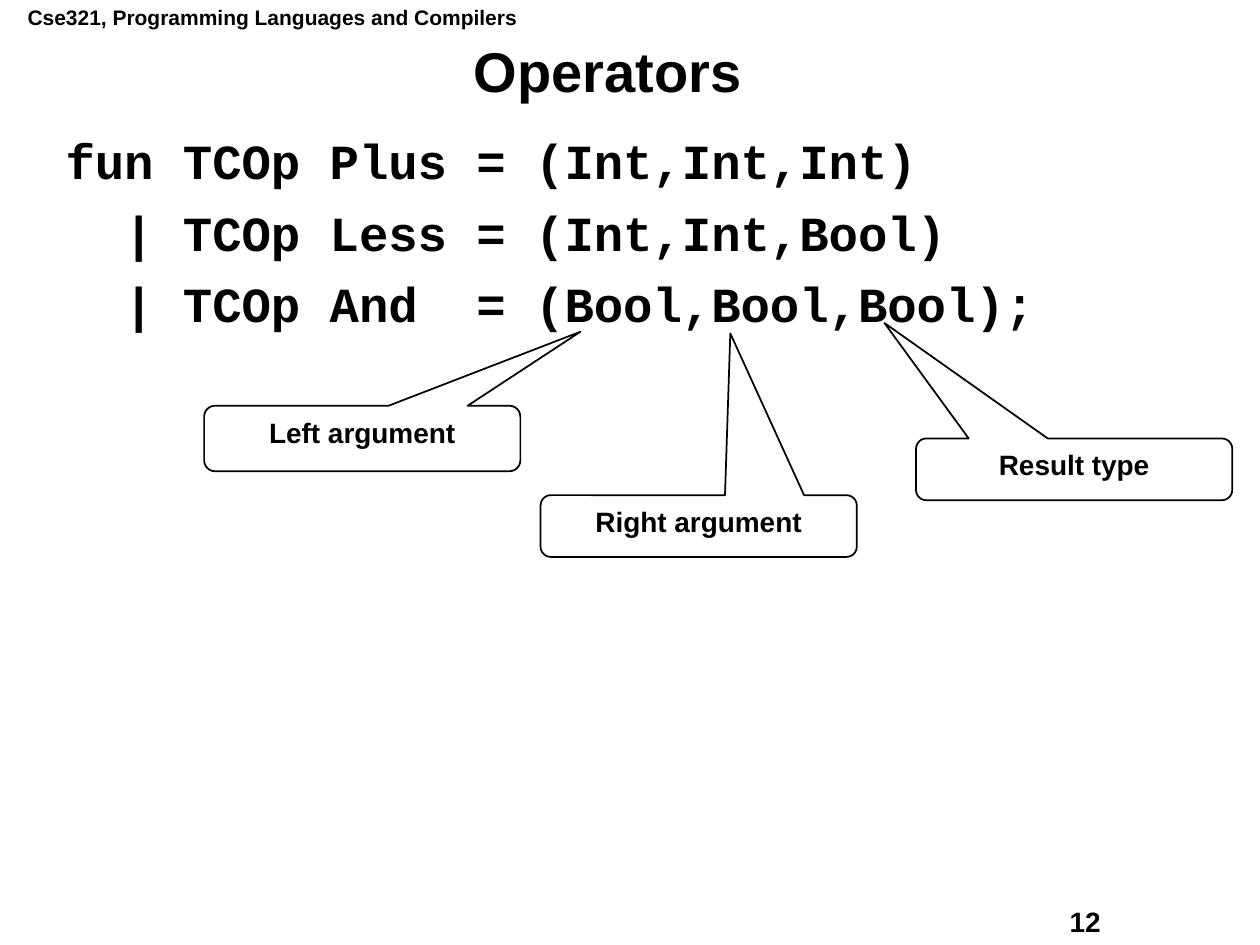
from lxml import etree
from pptx import Presentation
from pptx.dml.color import RGBColor
from pptx.enum.shapes import MSO_SHAPE
from pptx.enum.text import MSO_ANCHOR, MSO_AUTO_SIZE, PP_ALIGN
from pptx.oxml.ns import qn
from pptx.util import Inches, Pt

BLACK = RGBColor(0x00, 0x00, 0x00)
WHITE = RGBColor(0xFF, 0xFF, 0xFF)
CALLOUT = MSO_SHAPE.ROUNDED_RECTANGULAR_CALLOUT
TOP, MIDDLE = MSO_ANCHOR.TOP, MSO_ANCHOR.MIDDLE
LEFT, CENTER = PP_ALIGN.LEFT, PP_ALIGN.CENTER
NO_AUTOFIT = MSO_AUTO_SIZE.NONE


def place(shape, left, top, width, height):
    shape.left, shape.top = Inches(left), Inches(top)
    shape.width, shape.height = Inches(width), Inches(height)


def write(shape, lines, size, font="Arial", align=LEFT, anchor=TOP, wrap=True, spacing=None):
    frame = shape.text_frame
    frame.text = "\n".join(lines)
    frame_format = {"auto_size": NO_AUTOFIT, "word_wrap": wrap, "vertical_anchor": anchor}
    for name, value in frame_format.items():
        setattr(frame, name, value)
    font_format = {"name": font, "size": Pt(size), "bold": True}
    for para in frame.paragraphs:
        para.alignment = align
        para.line_spacing = spacing
        for span in para.runs:
            for name, value in font_format.items():
                setattr(span.font, name, value)
            span.font.color.rgb = BLACK


deck = Presentation()
deck.slide_width, deck.slide_height = Inches(10), Inches(7.5)
page = deck.slides.add_slide(deck.slide_layouts[1])

# Course name and page number
for text, size, position in [
    ("Cse321, Programming Languages and Compilers", 12, (0.12, -0.01, 4.09, 0.3)),
    ("12", 16, (8.39, 7.13, 1.27, 0.36)),
]:
    box = page.shapes.add_textbox(*map(Inches, position))
    write(box, [text], size, wrap=False)

# Title
title = page.shapes.title
place(title, 0.31, 0.31, 9.03, 0.56)
write(title, ["Operators"], 32, align=CENTER, anchor=MIDDLE, spacing=0.9)

# Code listing
code_lines = [
    "fun TCOp Plus = (Int,Int,Int)",
    "  | TCOp Less = (Int,Int,Bool)",
    "  | TCOp And  = (Bool,Bool,Bool);",
]
code = page.placeholders[1]
place(code, 0.42, 1.04, 8.92, 5.96)
write(code, code_lines, 28, font="Courier New", spacing=0.9)
for index, para in enumerate(code.text_frame.paragraphs):
    properties = para._p.get_or_add_pPr()
    properties.set("marL", str(Inches(0.31)))
    properties.set("indent", str(-Inches(0.31)))
    etree.SubElement(properties, qn("a:buNone"))
    para.space_before = Pt(10.5 if index else 0)

# Callouts pointing at the parts of the last code line
for text, left, top, height, tip_x, tip_y in [
    ("Left argument", 1.62, 3.22, 0.52, 0.69, -1.63),
    ("Right argument", 4.29, 3.93, 0.49, 0.1, -3.12),
    ("Result type", 7.27, 3.48, 0.49, -0.6, -2.37),
]:
    callout = page.shapes.add_shape(CALLOUT, *map(Inches, (left, top, 2.51, height)))
    callout.adjustments[0], callout.adjustments[1] = tip_x, tip_y
    callout.shadow.inherit = False
    callout.fill.solid()
    callout.fill.fore_color.rgb = WHITE
    callout.line.color.rgb = BLACK
    callout.line.width = Pt(1)
    write(callout, [text], 16, align=CENTER)

deck.save("out.pptx")
